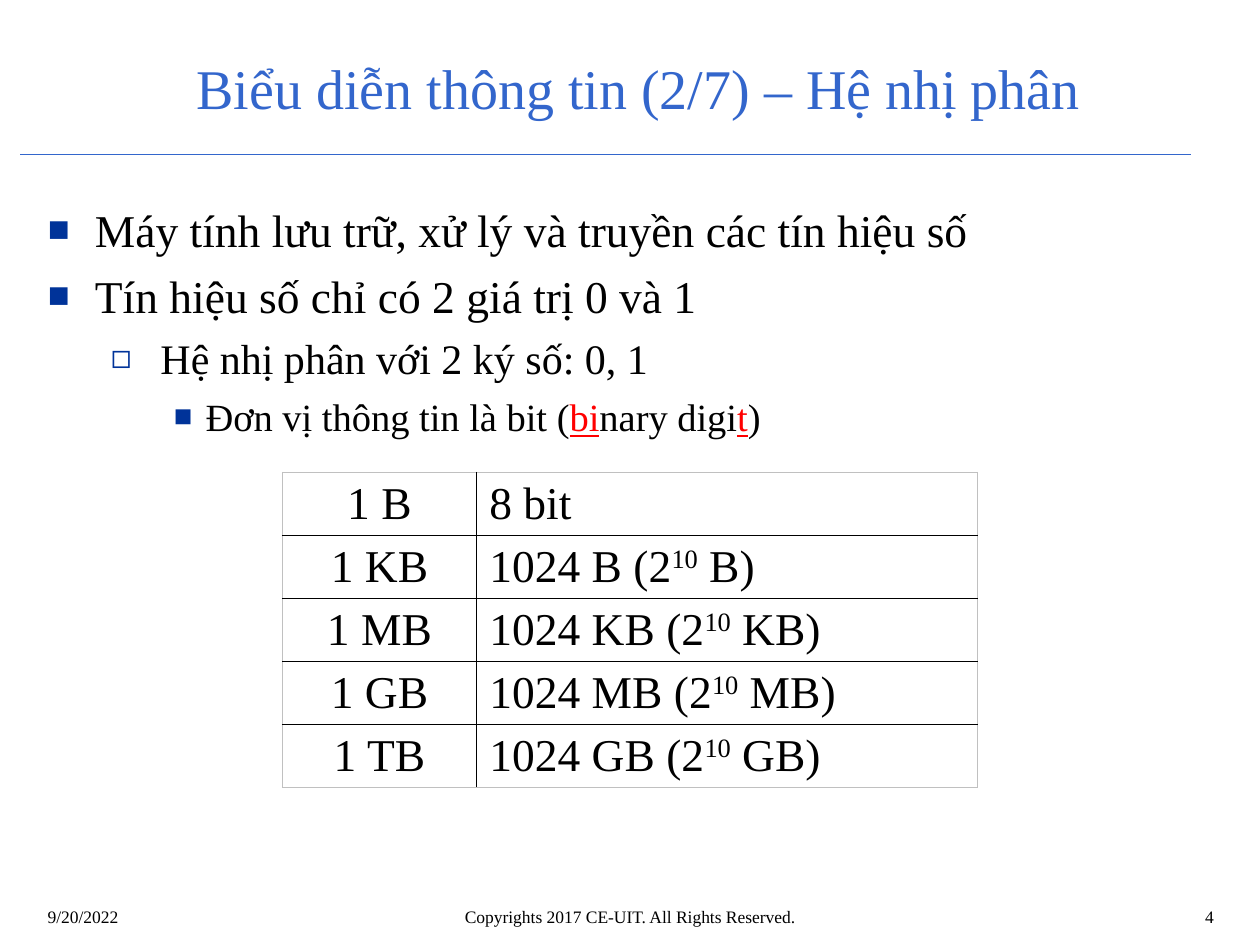
from dataclasses import dataclass

from lxml.etree import SubElement
from pptx import Presentation
from pptx.dml.color import RGBColor
from pptx.enum.shapes import MSO_CONNECTOR
from pptx.enum.text import MSO_ANCHOR, MSO_AUTO_SIZE, PP_ALIGN
from pptx.oxml.ns import qn
from pptx.util import Cm, Pt

FONT = "Times New Roman"
BLACK = RGBColor(0x00, 0x00, 0x00)
RED = RGBColor(0xFF, 0x00, 0x00)
TITLE_BLUE = RGBColor(0x33, 0x66, 0xCC)
BULLET_BLUE = RGBColor(0x00, 0x33, 0x99)
FRAME_GREY = RGBColor(0xC0, 0xC0, 0xC0)


@dataclass(frozen=True)
class Piece:
    text: str
    color: RGBColor = BLACK
    underline: bool = False


@dataclass(frozen=True)
class Point:
    pieces: tuple[Piece, ...]
    level: int
    size: int
    bullet: str
    left: float
    hanging: float


@dataclass(frozen=True)
class FooterPart:
    text: str
    left: float
    width: float
    align: PP_ALIGN


POINTS = (
    Point((Piece("Máy tính lưu trữ, xử lý và truyền các tín hiệu số"),),
          0, 26, "■", 0.95, 0.95),
    Point((Piece("Tín hiệu số chỉ có 2 giá trị 0 và 1"),),
          0, 26, "■", 0.95, 0.95),
    Point((Piece("Hệ nhị phân với 2 ký số: 0, 1"),),
          1, 24, "◻", 2.27, 1.0),
    Point((Piece("Đơn vị thông tin là bit ("), Piece("bi", RED, True),
           Piece("nary digi"), Piece("t", RED, True), Piece(")")),
          2, 22, "■", 3.18, 0.64),
)
UNITS = ("B", "KB", "MB", "GB", "TB")
FOOTER = (
    FooterPart("9/20/2022", 0.71, 5.92, PP_ALIGN.LEFT),
    FooterPart("Copyrights 2017 CE-UIT. All Rights Reserved.", 4.9, 15.6,
               PP_ALIGN.CENTER),
    FooterPart("4", 19.84, 4.88, PP_ALIGN.RIGHT),
)


def add_text(paragraph, text: str, *, size: float, color: RGBColor = BLACK,
             underline: bool = False, raised: bool = False) -> None:
    run = paragraph.add_run()
    run.text = text
    run.font.name = FONT
    run.font.size = Pt(size)
    run.font.color.rgb = color
    if underline:
        run.font.underline = True
    if raised:
        run.font._element.set("baseline", "30000")


def place(shape, left: float, top: float, width: float, height: float) -> None:
    shape.left, shape.top = Cm(left), Cm(top)
    shape.width, shape.height = Cm(width), Cm(height)


def set_bullet(paragraph, point: Point) -> None:
    properties = paragraph._p.get_or_add_pPr()
    properties.set("marL", str(Cm(point.left)))
    properties.set("indent", str(-Cm(point.hanging)))
    color = SubElement(properties, qn("a:buClr"))
    SubElement(color, qn("a:srgbClr"), val=str(BULLET_BLUE))
    SubElement(properties, qn("a:buSzPct"), val="80000")
    SubElement(properties, qn("a:buFont"), typeface=FONT)
    SubElement(properties, qn("a:buChar"), char=point.bullet)


def add_points(frame, points: tuple[Point, ...]) -> None:
    for index, point in enumerate(points):
        paragraph = frame.add_paragraph() if index else frame.paragraphs[0]
        paragraph.level = point.level
        paragraph.alignment = PP_ALIGN.JUSTIFY
        paragraph.space_before = Pt(point.size * 0.25 if index else 0)
        set_bullet(paragraph, point)
        for piece in point.pieces:
            add_text(paragraph, piece.text, size=point.size,
                     color=piece.color, underline=piece.underline)


def set_border(cell, side: str, color: RGBColor, width: float) -> None:
    line = SubElement(cell._tc.get_or_add_tcPr(), qn(f"a:{side}"),
                      w=str(Pt(width)))
    fill = SubElement(line, qn("a:solidFill"))
    SubElement(fill, qn("a:srgbClr"), val=str(color))


def add_unit_table(slide, units: tuple[str, ...]) -> None:
    row_height = 1.27
    last = len(units) - 1
    table = slide.shapes.add_table(
        len(units), 2, Cm(5.69), Cm(9.52), Cm(14.02),
        Cm(row_height * len(units))).table
    table.first_row = table.horz_banding = False
    table.columns[0].width, table.columns[1].width = Cm(3.92), Cm(10.1)
    for row, unit in enumerate(units):
        table.rows[row].height = Cm(row_height)
        name_cell, value_cell = table.cell(row, 0), table.cell(row, 1)
        for column, cell in enumerate((name_cell, value_cell)):
            cell.margin_top = cell.margin_bottom = Cm(0.1)
            cell.vertical_anchor = MSO_ANCHOR.MIDDLE
            outer_sides = {"lnL": column == 0, "lnR": column == 1,
                           "lnT": row == 0, "lnB": row == last}
            for side, outer in outer_sides.items():
                set_border(cell, side, FRAME_GREY if outer else BLACK,
                           0.5 if outer else 1)
            cell.fill.background()

        name = name_cell.text_frame.paragraphs[0]
        name.alignment = PP_ALIGN.CENTER
        add_text(name, f"1 {unit}", size=26)

        value = value_cell.text_frame.paragraphs[0]
        if row == 0:
            add_text(value, "8 bit", size=26)
        else:
            smaller = units[row - 1]
            add_text(value, f"1024 {smaller} (2", size=26)
            add_text(value, "10", size=26, raised=True)
            add_text(value, f" {smaller})", size=26)


def add_footer_part(slide, part: FooterPart) -> None:
    box = slide.shapes.add_textbox(Cm(part.left), Cm(18.14),
                                   Cm(part.width), Cm(0.81))
    box.text_frame.word_wrap = True
    paragraph = box.text_frame.paragraphs[0]
    paragraph.alignment = part.align
    add_text(paragraph, part.text, size=10)


def main() -> None:
    presentation = Presentation()
    presentation.slide_width, presentation.slide_height = Cm(25.4), Cm(19.05)
    slide = presentation.slides.add_slide(presentation.slide_layouts[1])

    # Rule under the title
    rule = slide.shapes.add_connector(MSO_CONNECTOR.STRAIGHT, Cm(0.41),
                                      Cm(3.12), Cm(24), Cm(3.12))
    rule.line.color.rgb = TITLE_BLUE
    rule.line.width = Pt(0.75)
    SubElement(rule._element.spPr, qn("a:effectLst"))

    # Title
    title = slide.shapes.title
    place(title, 3.71, 0.79, 20.42, 1.93)
    title.text_frame.auto_size = MSO_AUTO_SIZE.NONE
    title.text_frame.vertical_anchor = MSO_ANCHOR.MIDDLE
    heading = title.text_frame.paragraphs[0]
    heading.alignment = PP_ALIGN.LEFT
    add_text(heading, "Biểu diễn thông tin (2/7) – Hệ nhị phân",
             size=32, color=TITLE_BLUE)

    # Bulleted list
    body = slide.placeholders[1]
    place(body, 0.71, 3.94, 24, 13.41)
    body.text_frame.auto_size = MSO_AUTO_SIZE.NONE
    add_points(body.text_frame, POINTS)

    # Units of information
    add_unit_table(slide, UNITS)

    # Footer
    for part in FOOTER:
        add_footer_part(slide, part)

    presentation.save("out.pptx")


if __name__ == "__main__":
    main()
